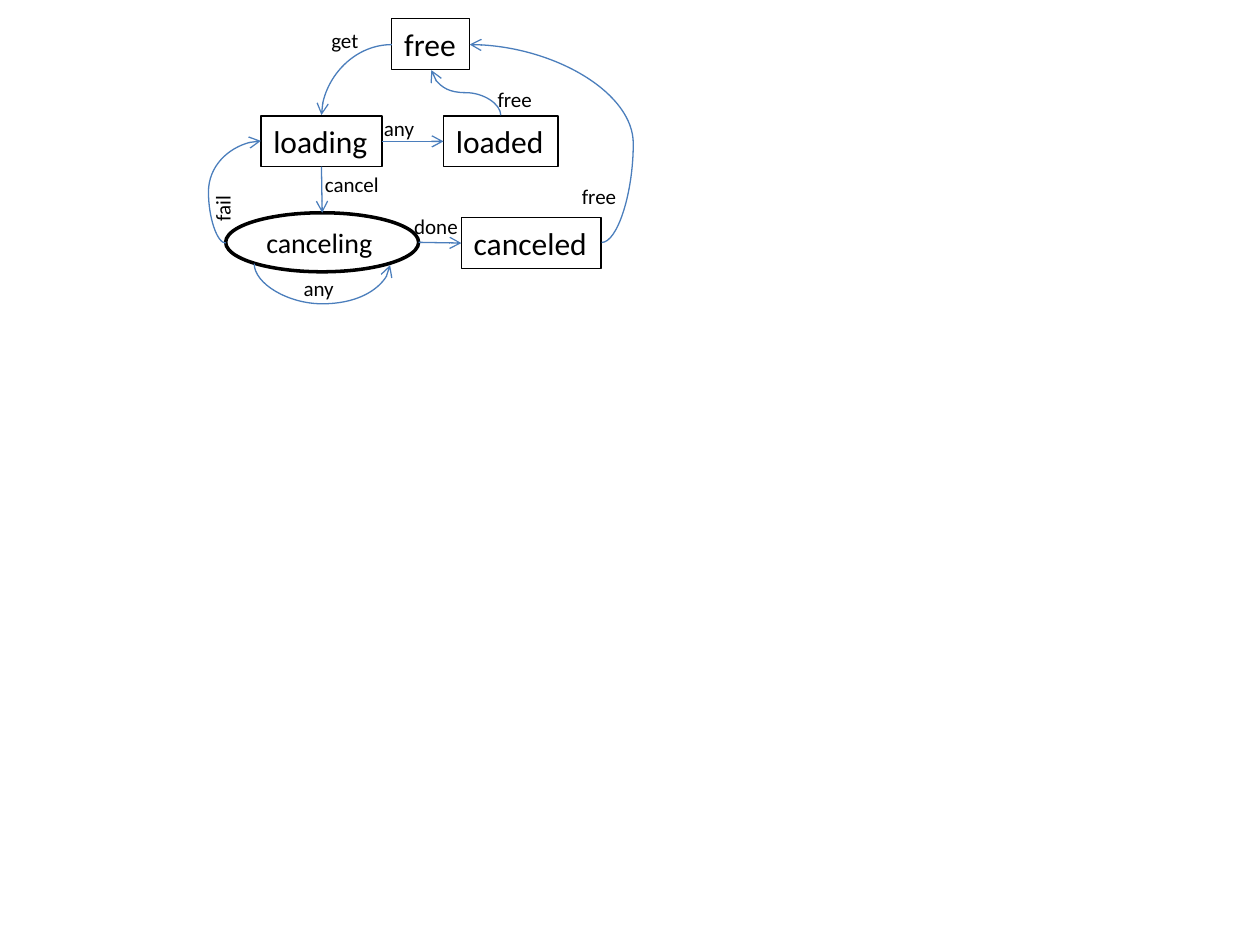
from dataclasses import dataclass
from typing import Optional

from lxml.etree import SubElement
from pptx import Presentation
from pptx.dml.color import RGBColor
from pptx.enum.shapes import MSO_CONNECTOR, MSO_SHAPE
from pptx.enum.text import MSO_ANCHOR, MSO_AUTO_SIZE, PP_ALIGN
from pptx.oxml.ns import qn
from pptx.shapes.autoshape import Shape
from pptx.shapes.connector import Connector
from pptx.slide import Slide
from pptx.util import Cm, Pt

COLORS = {"ink": "000000", "arrow": "4B7EBC", "paper": "FFFFFF"}
FONT = "Calibri"
STATE_HEIGHT = 1.02
LABEL_HEIGHT = 0.76


@dataclass
class State:
    name: str
    left: float
    top: float
    width: float


@dataclass
class Label:
    text: str
    left: float
    top: float
    width: float
    rotation: int = 0


@dataclass
class Curve:
    left: float
    top: float
    width: float
    height: float
    rotation: int
    flips: str
    bend: Optional[float] = None


@dataclass
class Transition:
    source: str
    source_site: int
    target: str
    target_site: int
    curve: Optional[Curve] = None


STATES = [
    State("free", 7.9, 0.38, 1.57),
    State("loaded", 8.94, 2.34, 2.31),
    State("loading", 5.26, 2.34, 2.44),
    State("canceled", 9.3, 4.39, 2.82),
]
CURRENT = State("canceling", 4.55, 4.29, 3.89)
CURRENT_HEIGHT = 1.19

TRANSITIONS = [
    Transition("free", 1, "loading", 0, Curve(6.48, 0.9, 1.42, 1.42, 180, "V")),
    Transition("loaded", 0, "free", 2, Curve(8.94, 1.17, 0.91, 1.4, 270, "V", 0.5)),
    Transition("canceling", 2, "loading", 1, Curve(4.55, 2.84, 0.71, 2.06, 180, "H", -0.49)),
    Transition("loading", 2, "canceling", 0),
    Transition("canceled", 3, "free", 3, Curve(9.47, 0.9, 2.66, 3.99, 0, "HV", -0.24)),
    Transition("loading", 3, "loaded", 1),
    Transition("canceling", 6, "canceled", 1),
    Transition("canceling", 3, "canceling", 5, Curve(6.48, 3.96, 0.03, 2.74, 270, "H", 27)),
]

LABELS = [
    Label("get", 6.43, 0.43, 1.07),
    Label("free", 9.78, 1.63, 1.22),
    Label("free", 11.48, 3.58, 1.22),
    Label("cancel", 6.3, 3.33, 1.63),
    Label("fail", 3.96, 3.81, 1.04, 270),
    Label("any", 7.49, 2.21, 1.12),
    Label("done", 8.1, 4.19, 1.4),
    Label("any", 5.87, 5.44, 1.12),
]


def color(name: str) -> RGBColor:
    """Look up a colour by its role."""
    return RGBColor.from_string(COLORS[name])


def write(box: Shape, text: str, size: int) -> None:
    """Put one left-aligned line of text in a box."""
    para = box.text_frame.paragraphs[0]
    para.text = text
    para.alignment = PP_ALIGN.LEFT
    font = para.runs[0].font
    font.name, font.size, font.color.rgb = FONT, Pt(size), color("ink")


def outline(box: Shape, width: float) -> None:
    """Give a box an ink outline."""
    box.line.color.rgb = color("ink")
    box.line.width = Pt(width)


def add_text(page: Slide, text: str, left: float, top: float,
             width: float, height: float, size: int) -> Shape:
    """Add a text box that grows with its single line."""
    box = page.shapes.add_textbox(Cm(left), Cm(top), Cm(width), Cm(height))
    box.text_frame.word_wrap = False
    box.text_frame.auto_size = MSO_AUTO_SIZE.SHAPE_TO_FIT_TEXT
    write(box, text, size)
    return box


def add_state(page: Slide, state: State) -> Shape:
    """Add a framed state."""
    box = add_text(page, state.name, state.left, state.top, state.width, STATE_HEIGHT, 18)
    outline(box, 0.75)
    return box


def add_current(page: Slide, state: State) -> Shape:
    """Add the emphasised state as a heavy ellipse."""
    box = page.shapes.add_shape(MSO_SHAPE.OVAL, Cm(state.left), Cm(state.top),
                                Cm(state.width), Cm(CURRENT_HEIGHT))
    box.shadow.inherit = False
    box.fill.solid()
    box.fill.fore_color.rgb = color("paper")
    outline(box, 2)
    box.text_frame.vertical_anchor = MSO_ANCHOR.MIDDLE
    write(box, state.name, 16)
    return box


def bend(arrow: Connector, curve: Curve) -> None:
    """Set the frame, turn and bend of a curved arrow."""
    arrow.left, arrow.top = Cm(curve.left), Cm(curve.top)
    arrow.width, arrow.height = Cm(curve.width), Cm(curve.height)
    properties = arrow._element.spPr
    frame = properties.find(qn("a:xfrm"))
    frame.set("rot", str(curve.rotation * 60000))
    for axis in "HV":
        frame.set(f"flip{axis}", str(int(axis in curve.flips)))
    geometry = properties.find(qn("a:prstGeom"))
    if curve.bend is None:
        geometry.set("prst", "curvedConnector2")
        return
    guides = geometry.find(qn("a:avLst"))
    if guides is None:
        guides = SubElement(geometry, qn("a:avLst"))
    SubElement(guides, qn("a:gd"), name="adj1", fmla=f"val {round(curve.bend * 100000)}")


def add_transition(page: Slide, transition: Transition, boxes: dict[str, Shape]) -> None:
    """Join two states with an arrow."""
    kind = MSO_CONNECTOR.CURVE if transition.curve else MSO_CONNECTOR.STRAIGHT
    source, target = boxes[transition.source], boxes[transition.target]
    arrow = page.shapes.add_connector(
        kind, source.left + source.width, source.top + source.height // 2,
        target.left, target.top + target.height // 2)
    arrow.begin_connect(source, transition.source_site % 4)
    arrow.end_connect(target, transition.target_site % 4)
    links = arrow._element.nvCxnSpPr.cNvCxnSpPr
    links.find(qn("a:stCxn")).set("idx", str(transition.source_site))
    links.find(qn("a:endCxn")).set("idx", str(transition.target_site))
    if transition.curve:
        bend(arrow, transition.curve)
    elif transition.source == CURRENT.name:
        arrow.begin_x = source.left + source.width
        arrow.begin_y = source.top + source.height // 2
    arrow.line.color.rgb = color("arrow")
    arrow.line.width = Pt(0.75)
    SubElement(arrow.line._get_or_add_ln(), qn("a:tailEnd"), type="arrow")
    SubElement(arrow._element.spPr, qn("a:effectLst"))


def main() -> None:
    """Build the state diagram."""
    deck = Presentation()
    deck.slide_width, deck.slide_height = Cm(25.4), Cm(19.05)
    page = deck.slides.add_slide(deck.slide_layouts[6])
    boxes = {state.name: add_state(page, state) for state in STATES}
    boxes[CURRENT.name] = add_current(page, CURRENT)
    for transition in TRANSITIONS:
        add_transition(page, transition, boxes)
    for label in LABELS:
        box = add_text(page, label.text, label.left, label.top, label.width, LABEL_HEIGHT, 12)
        box.rotation = label.rotation
    deck.save("out.pptx")


if __name__ == "__main__":
    main()
